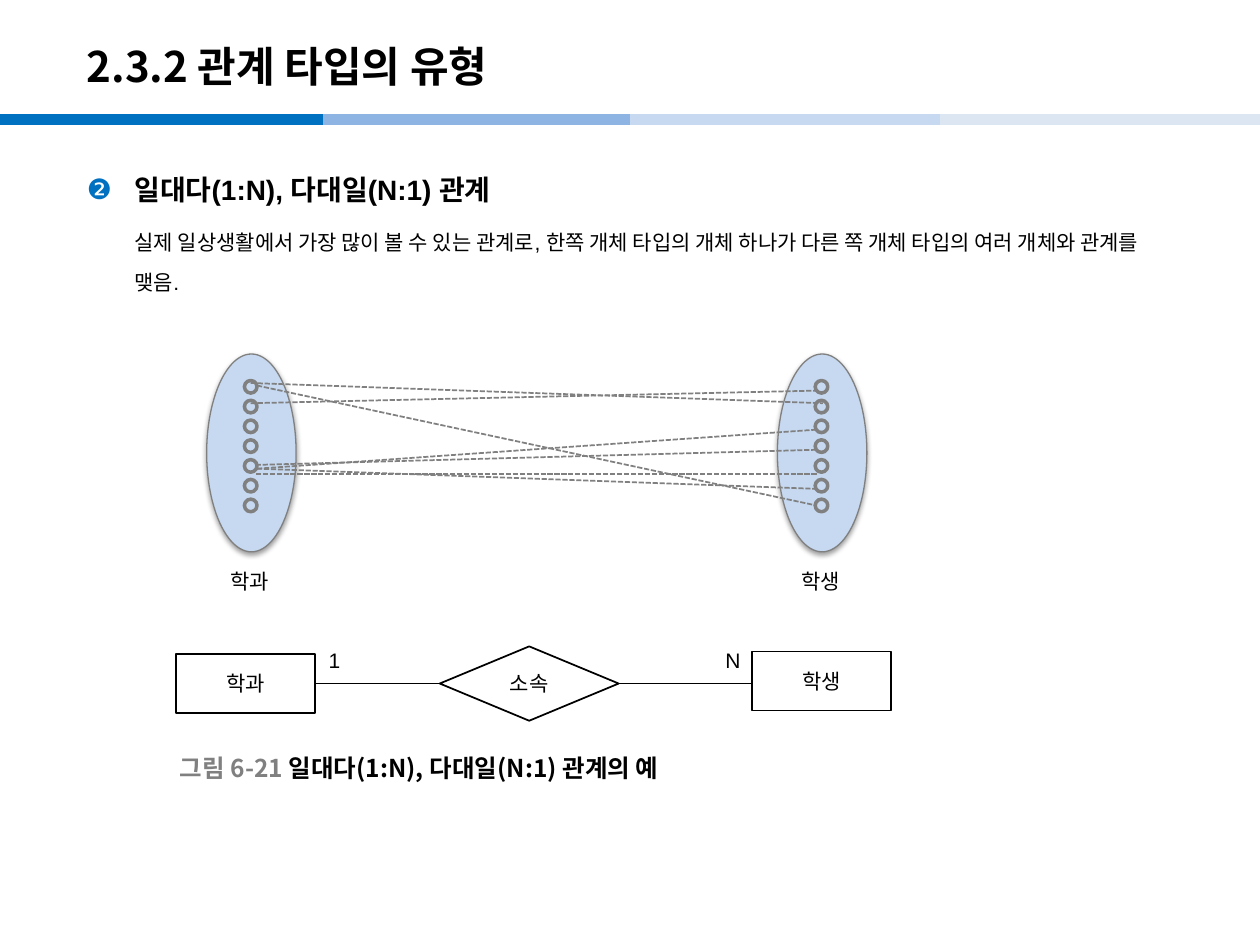
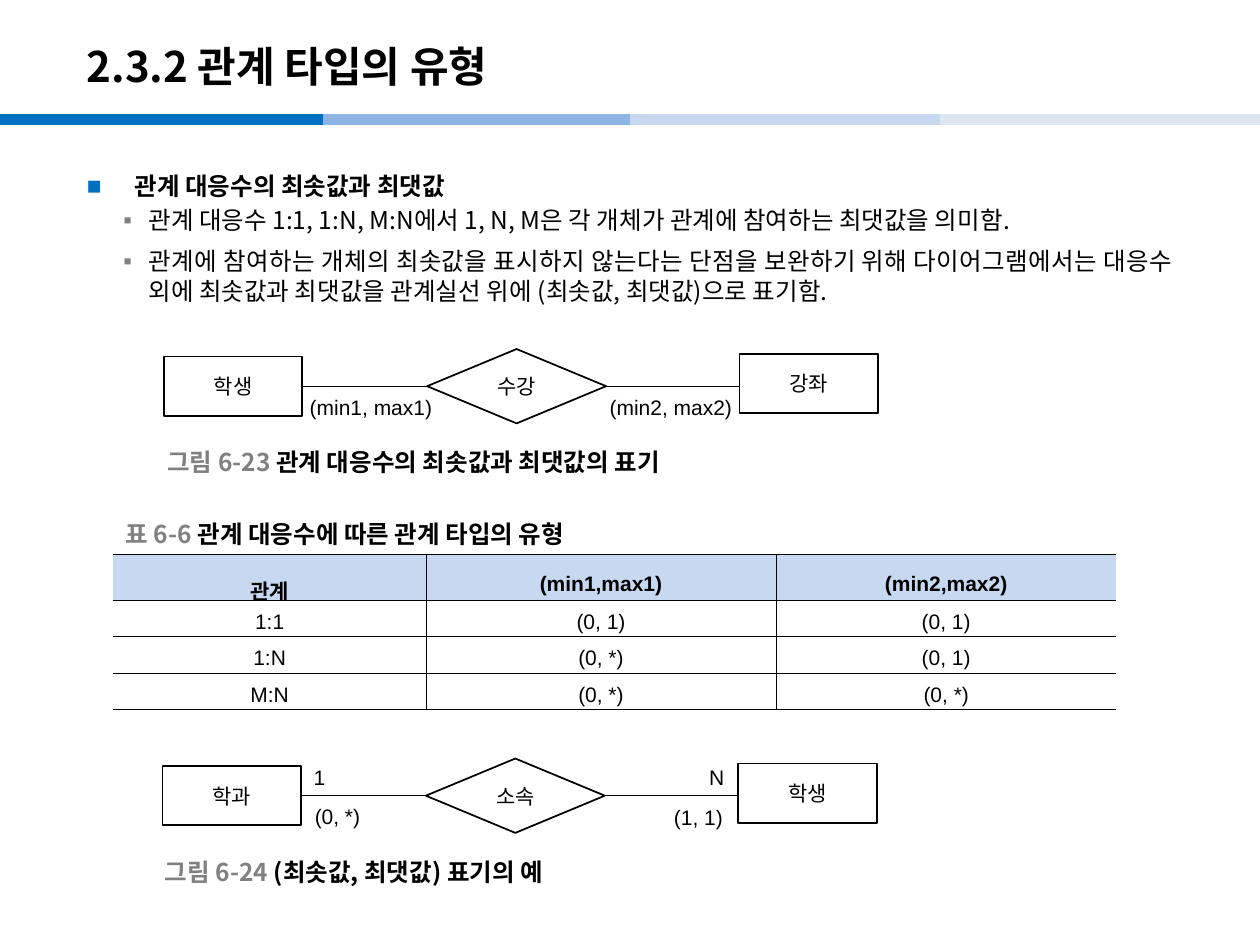
from pptx import Presentation
from pptx.dml.color import RGBColor
from pptx.enum.dml import MSO_LINE_DASH_STYLE as Dash
from pptx.enum.shapes import MSO_CONNECTOR as Conn, MSO_SHAPE as Kind
from pptx.enum.text import MSO_ANCHOR as Anchor, MSO_AUTO_SIZE as Fit, PP_ALIGN as Align
from pptx.oxml import parse_xml
from pptx.oxml.ns import nsdecls, qn
from pptx.util import Inches, Pt
from lxml.etree import SubElement

BLACK = RGBColor(0x00, 0x00, 0x00)
WHITE = RGBColor(0xFF, 0xFF, 0xFF)
GRAY = RGBColor(0x80, 0x80, 0x80)
BLUE = RGBColor(0x00, 0x70, 0xC0)
PALE = RGBColor(0xC6, 0xD9, 0xF1)
BANDS = [(0, BLUE), (2.56, RGBColor(0x8E, 0xB4, 0xE3)), (5, PALE),
         (7.46, RGBColor(0xDC, 0xE6, 0xF2))]
LATIN = "Arial"
KOREAN = "Noto Sans CJK KR"
TITLE = "2.3.2 관계 타입의 유형"


class Deck:
    """Hold the shared style and the current slide."""

    def __init__(self):
        self.show = Presentation()
        self.show.slide_width, self.show.slide_height = Inches(10), Inches(7.5)
        self.slide = None

    def page(self, title):
        self.slide = self.show.slides.add_slide(self.show.slide_layouts[6])
        for left, color in BANDS:
            self.line((left, 0.95), (left + 2.56, 0.95), color, 6)
        frame = self.box(0.59, 0.22, 8.27, 0.6, anchor=Anchor.MIDDLE)
        self.run(frame.paragraphs[0], title, 24, bold=True, font=KOREAN)

    def run(self, para, text, size, color=BLACK, bold=False, font=LATIN):
        run = para.add_run()
        run.text = text
        run.font.size, run.font.bold, run.font.name = Pt(size), bold, font
        run.font.color.rgb = color
        props = run._r.get_or_add_rPr()
        props.set("kern", "0")
        SubElement(props, qn("a:ea")).set("typeface", KOREAN)

    def box(self, left, top, width, height, wrap=True, anchor=Anchor.TOP):
        shape = self.slide.shapes.add_textbox(
            Inches(left), Inches(top), Inches(width), Inches(height))
        frame = shape.text_frame
        frame.word_wrap, frame.vertical_anchor = wrap, anchor
        return frame

    def label(self, text, left, top, width):
        frame = self.box(left, top, width, 0.3, wrap=False)
        frame.auto_size = Fit.SHAPE_TO_FIT_TEXT
        self.run(frame.paragraphs[0], text, 12)

    def caption(self, number, text, left, top):
        frame = self.box(left, top, 5, 0.31, anchor=Anchor.MIDDLE)
        para = frame.paragraphs[0]
        self.run(para, number + " ", 14, GRAY, True, KOREAN)
        self.run(para, text, 14, BLACK, True, KOREAN)

    def bullet(self, para, mark, color, margin, hang):
        props = para._p.get_or_add_pPr()
        props.set("marL", str(Inches(margin)))
        props.set("indent", str(-Inches(hang)))
        if mark:
            tint = SubElement(SubElement(props, qn("a:buClr")), qn("a:srgbClr"))
            tint.set("val", str(color))
            SubElement(props, qn("a:buFont")).set("typeface", LATIN)
            SubElement(props, qn("a:buChar")).set("char", mark)
        else:
            SubElement(props, qn("a:buNone"))

    def body(self, mark, head, size):
        frame = self.box(0.59, 1.19, 8.82, 5.98)
        para = frame.paragraphs[0]
        self.bullet(para, mark, BLUE, 0.38, 0.38)
        para.line_spacing = 1.5
        self.run(para, head, size, bold=True)
        return frame

    def shape(self, kind, left, top, width, height, fill, color, weight, host=None):
        shape = (host or self.slide).shapes.add_shape(
            kind, Inches(left), Inches(top), Inches(width), Inches(height))
        shape.shadow.inherit = False
        shape.fill.solid()
        shape.fill.fore_color.rgb = fill
        shape.line.color.rgb, shape.line.width = color, Pt(weight)
        return shape

    def node(self, kind, text, left, top, width, height):
        shape = self.shape(kind, left, top, width, height, WHITE, BLACK, 1)
        shape.text_frame.vertical_anchor = Anchor.MIDDLE
        para = shape.text_frame.paragraphs[0]
        para.alignment = Align.CENTER
        self.run(para, text, 12, font=KOREAN)
        return shape

    def line(self, start, end, color, weight, dash=None):
        line = self.slide.shapes.add_connector(
            Conn.STRAIGHT, *[Inches(n) for n in (*start, *end)])
        line.line.color.rgb, line.line.width = color, Pt(weight)
        if dash:
            line.line.dash_style = dash
        SubElement(line._element.spPr, qn("a:effectLst"))
        return line

    def relation(self, names, left, top):
        first, verb, last = names
        mid, right = top + 0.295, left + 4.57
        link = self.line((right, mid), (left + 1.1, mid), BLACK, 0.75)
        self.node(Kind.FLOWCHART_DECISION, verb, left + 2.09, top, 1.42, 0.59)
        source = self.node(Kind.RECTANGLE, first, left, top + 0.06, 1.1, 0.47)
        self.node(Kind.RECTANGLE, last, right, top + 0.04, 1.1, 0.47)
        link.end_connect(source, 3)

    def cluster(self, left):
        group = self.slide.shapes.add_group_shape()
        oval = self.shape(Kind.OVAL, left, 2.81, 0.71, 1.57, PALE, GRAY, 0.75, group)
        props = oval._element.spPr
        props.remove(props.find(qn("a:effectLst")))
        props.append(parse_xml(
            f'<a:effectLst {nsdecls("a")}><a:outerShdw blurRad="{Pt(3.1)}" '
            f'dist="{Pt(1.6)}" dir="5400000" rotWithShape="0"><a:srgbClr val="{BLACK}">'
            '<a:alpha val="38000"/></a:srgbClr></a:outerShdw></a:effectLst>'))
        for row in range(7):
            self.shape(Kind.FLOWCHART_CONNECTOR, left + 0.3, 3.02 + row * 0.157,
                       0.1, 0.1, PALE, GRAY, 2, group)

    def border(self, cell, sides):
        props = cell._tc.get_or_add_tcPr()
        for spot, side in enumerate("LRTB"):
            fill = (f'<a:solidFill><a:srgbClr val="{BLACK}"/></a:solidFill>'
                    if side in sides else "<a:noFill/>")
            props.insert(spot, parse_xml(
                f'<a:ln{side} {nsdecls("a")} w="{Pt(0.28)}">{fill}</a:ln{side}>'))

    def table(self, rows, left, top, widths, heights):
        grid = self.slide.shapes.add_table(
            len(rows), len(widths), Inches(left), Inches(top),
            Inches(sum(widths)), Inches(sum(heights))).table
        for col, width in zip(grid.columns, widths):
            col.width = Inches(width)
        for r, (texts, height) in enumerate(zip(rows, heights)):
            grid.rows[r].height = Inches(height)
            for c, text in enumerate(texts):
                cell = grid.cell(r, c)
                cell.fill.solid()
                cell.fill.fore_color.rgb = WHITE if r else PALE
                cell.vertical_anchor = Anchor.MIDDLE
                cell.margin_left = cell.margin_right = Inches(0.07)
                cell.margin_top = cell.margin_bottom = Inches(0.02)
                self.border(cell, ("TBR", "LRTB", "LTB")[c])
                para = cell.text_frame.paragraphs[0]
                para.alignment = Align.CENTER
                para.line_spacing = Pt(18) if r else 1.6
                self.run(para, text, 12, bold=not r)


def many(deck):
    deck.page(TITLE)
    frame = deck.body("❷", "일대다(1:N), 다대일(N:1) 관계", 16)
    para = frame.add_paragraph()
    deck.bullet(para, None, None, 0.38, 0)
    para.line_spacing, para.space_before = 1.6, Pt(4.3)
    deck.run(para, "실제 일상생활에서 가장 많이 볼 수 있는 관계로, 한쪽 개체 타입의 "
             "개체 하나가 다른 쪽 개체 타입의 여러 개체와 관계를 맺음.", 12)
    for left, name in ((1.64, "학과"), (6.17, "학생")):
        deck.cluster(left)
        deck.label(name, left + 0.09, 4.46, 0.54)
    deck.relation(("학과", "소속", "학생"), 1.4, 5.13)
    deck.label("1", 2.51, 5.09, 0.3)
    deck.label("N", 5.66, 5.09, 0.33)
    deck.caption("그림 6-21", "일대다(1:N), 다대일(N:1) 관계의 예", 1.33, 5.94)
    links = [((1.99, 3.2), (6.49, 3.1)), ((1.99, 3.04), (6.53, 3.2)),
             ((2.04, 3.06), (6.47, 4.01)), ((2.04, 3.72), (6.48, 3.41)),
             ((2.03, 3.69), (6.48, 3.57)), ((2.03, 3.76), (6.49, 3.76)),
             ((2.04, 3.72), (6.48, 3.88))]
    for start, end in links:
        deck.line(start, end, GRAY, 1, Dash.SQUARE_DOT)


def limits(deck):
    deck.page(TITLE)
    frame = deck.body("■", "관계 대응수의 최솟값과 최댓값", 14)
    for text in (
            "관계 대응수 1:1, 1:N, M:N에서 1, N, M은 각 개체가 관계에 참여하는 최댓값을 의미함.",
            "관계에 참여하는 개체의 최솟값을 표시하지 않는다는 단점을 보완하기 위해 "
            "다이어그램에서는 대응수 외에 최솟값과 최댓값을 관계실선 위에 "
            "(최솟값, 최댓값)으로 표기함."):
        para = frame.add_paragraph()
        deck.bullet(para, "▪", GRAY, 0.49, 0.2)
        para.alignment = Align.JUSTIFY
        para.space_before, para.space_after = Pt(2.8), Pt(4)
        deck.run(para, text, 14, font=KOREAN)
    deck.relation(("학생", "수강", "강좌"), 1.3, 2.77)
    deck.label("(min1, max1)", 2.36, 3.08, 1.19)
    deck.label("(min2, max2)", 4.74, 3.08, 1.19)
    deck.caption("그림 6-23", "관계 대응수의 최솟값과 최댓값의 표기", 1.23, 3.51)
    deck.caption("표 6-6", "관계 대응수에 따른 관계 타입의 유형", 0.9, 4.08)
    deck.table([("관계", "(min1,max1)", "(min2,max2)"),
                ("1:1", "(0, 1)", "(0, 1)"),
                ("1:N", "(0, *)", "(0, 1)"),
                ("M:N", "(0, *)", "(0, *)")],
               0.9, 4.4, (2.48, 2.78, 2.7), (0.36, 0.29, 0.29, 0.29))
    deck.relation(("학과", "소속", "학생"), 1.29, 6.02)
    deck.label("1", 2.39, 6.02, 0.29)
    deck.label("N", 5.53, 6.02, 0.33)
    deck.label("(0, *)", 2.4, 6.33, 0.56)
    deck.label("(1, 1)", 5.25, 6.34, 0.59)
    deck.caption("그림 6-24", "(최솟값, 최댓값) 표기의 예", 1.21, 6.76)


def main():
    deck = Deck()
    many(deck)
    limits(deck)
    deck.show.save("out.pptx")


if __name__ == "__main__":
    main()
